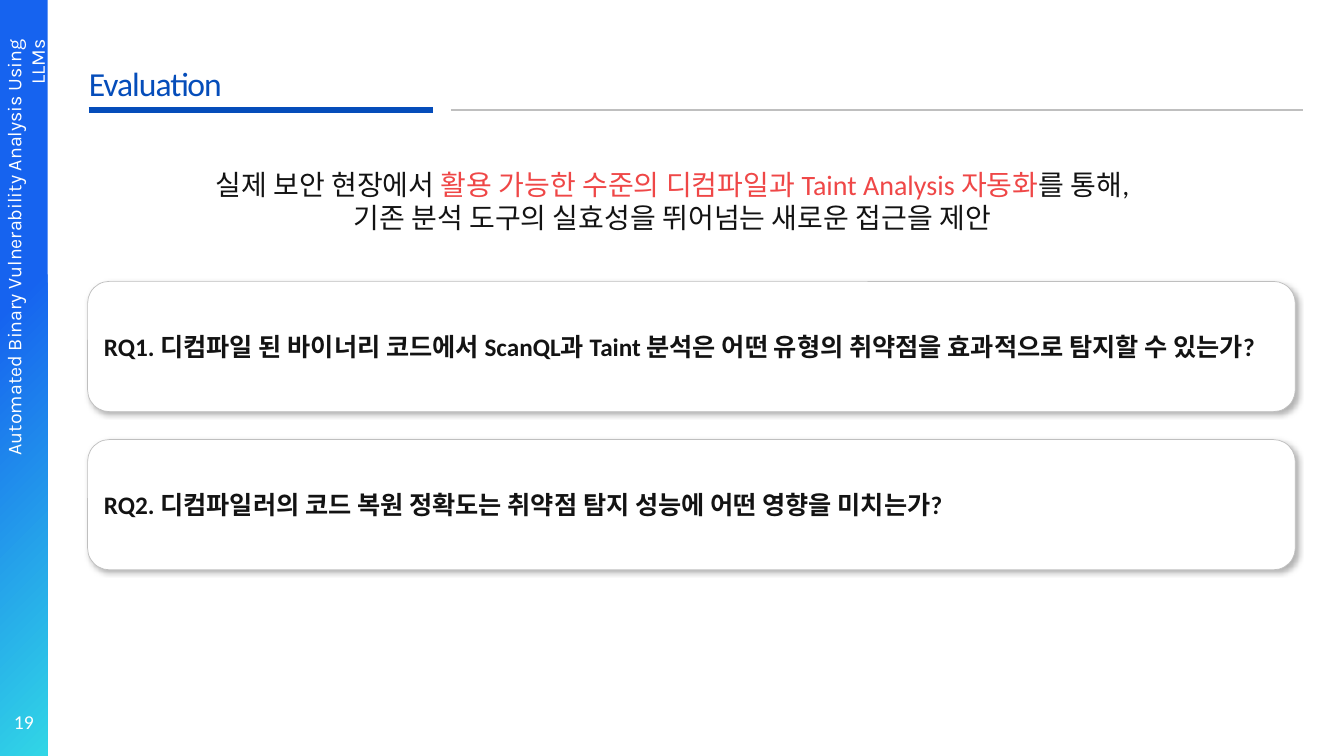
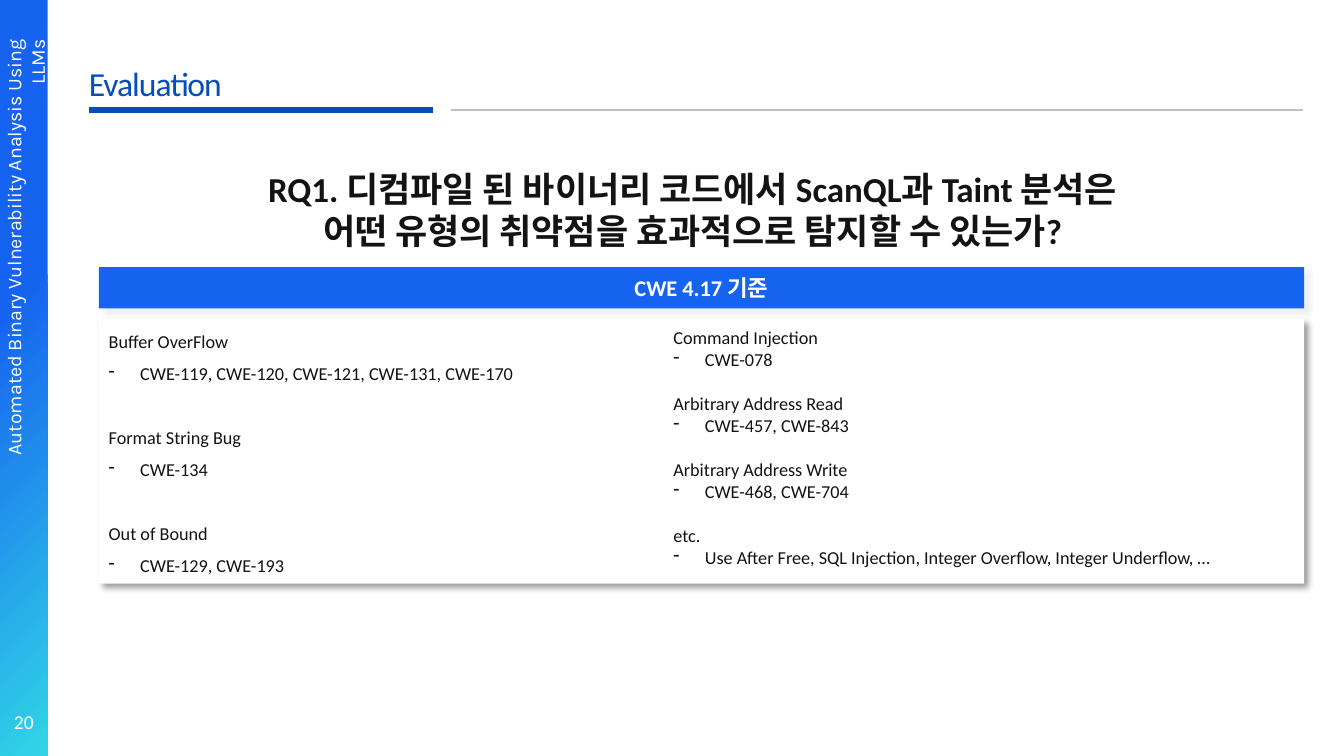
from lxml.etree import SubElement
from pptx import Presentation
from pptx.dml.color import RGBColor
from pptx.enum.shapes import MSO_CONNECTOR, MSO_SHAPE
from pptx.enum.text import MSO_ANCHOR, PP_ALIGN
from pptx.oxml.ns import qn
from pptx.util import Pt

BLUE = RGBColor(0x16, 0x63, 0xEF)
CYAN = RGBColor(0x31, 0xD6, 0xE6)
NAVY = RGBColor(0x05, 0x4D, 0xBA)
GRAY = RGBColor(0xBF, 0xBF, 0xBF)
INK = RGBColor(0x13, 0x13, 0x13)
RED = RGBColor(0xEF, 0x47, 0x47)
WHITE = RGBColor(0xFF, 0xFF, 0xFF)
FONT = "Calibri"
LEFT, CENTER, RIGHT = PP_ALIGN.LEFT, PP_ALIGN.CENTER, PP_ALIGN.RIGHT
TOP, MIDDLE = MSO_ANCHOR.TOP, MSO_ANCHOR.MIDDLE


def card(slide, kind, place, fill, shade=None):
    """Add a filled shape; shade is shadow opacity, blur and distance."""
    shape = slide.shapes.add_shape(kind, *map(Pt, place))
    shape.fill.solid()
    shape.fill.fore_color.rgb = fill
    shape.line.fill.background()
    shape.shadow.inherit = False
    if shade:
        alpha, blur, dist = shade
        effects = shape._element.spPr.find(qn("a:effectLst"))
        outer = SubElement(effects, qn("a:outerShdw"), blurRad=str(Pt(blur)),
                           dist=str(Pt(dist)), dir="2700000", algn="tl", rotWithShape="0")
        color = SubElement(outer, qn("a:srgbClr"), val="000000")
        SubElement(color, qn("a:alpha"), val=str(alpha * 1000))
    return shape


def write(shape, lines, size, color, align=LEFT, anchor=TOP, bold=False, inset=True, font=FONT):
    """Fill a shape with lines; a line starting with "- " becomes a bullet."""
    frame = shape.text_frame
    frame.word_wrap = True
    frame.vertical_anchor = anchor
    if not inset:
        frame.margin_left = frame.margin_right = frame.margin_top = frame.margin_bottom = 0
    for row, line in enumerate(lines):
        para = frame.add_paragraph() if row else frame.paragraphs[0]
        para.text = line.removeprefix("- ")
        para.alignment = align
        if line.startswith("- "):
            props = para._p.get_or_add_pPr()
            props.set("marL", str(Pt(22.5)))
            props.set("indent", str(-Pt(22.5)))
            SubElement(props, qn("a:buChar"), char="-")
        para.font.size = Pt(size)
        para.font.name = font
        para.font.bold = bold
        para.font.color.rgb = color
    return frame.paragraphs


deck = Presentation()
deck.slide_width, deck.slide_height = Pt(960), Pt(540)
blank = deck.slide_layouts[6]

# Shared frame: side band, rules, page number and title
for page in (19, 20):
    slide = deck.slides.add_slide(blank)
    band = card(slide, MSO_SHAPE.RECTANGLE, (0, 0, 34, 540), BLUE)
    band.fill.gradient()
    band.fill.gradient_angle = 315
    for stop, (spot, color) in zip(band.fill.gradient_stops, ((0.39, BLUE), (1, CYAN))):
        stop.position = spot
        stop.color.rgb = color

    for start, end, color, width in ((63.4, 309, NAVY, 4), (322, 931, GRAY, 1)):
        rule = slide.shapes.add_connector(
            MSO_CONNECTOR.STRAIGHT, Pt(start), Pt(78.5), Pt(end), Pt(78.5))
        rule.line.color.rgb = color
        rule.line.width = Pt(width)
        SubElement(rule._element.spPr, qn("a:effectLst"))

    side = slide.shapes.add_textbox(Pt(-134.6), Pt(172), Pt(305.3), Pt(17.3))
    side.rotation = 270
    write(side, ["Automated Binary Vulnerability Analysis Using LLMs"], 14, WHITE,
          RIGHT, MIDDLE, inset=False, font="Karla")

    number = slide.shapes.add_textbox(0, Pt(503.3), Pt(34), Pt(24.5))
    write(number, [str(page)], 14, WHITE, CENTER)

    title = slide.shapes.add_textbox(Pt(63.4), Pt(49.7), Pt(245.5), Pt(22.3))
    para = write(title, ["Evaluation"], 24, NAVY, anchor=MIDDLE, inset=False)[0]
    para.line_spacing = 0.9
    para.runs[0]._r.get_or_add_rPr().set("spc", "-70")

first, second = deck.slides

# Research questions
intro = first.shapes.add_textbox(Pt(34.6), Pt(116), Pt(891.4), Pt(55.4))
lead = write(intro, ["실제 보안 현장에서 ", "기존 분석 도구의 실효성을 뛰어넘는 새로운 접근을 제안"],
             20, INK, CENTER)[0]
key = lead.add_run()
key.text = "활용 가능한 수준의 디컴파일과 Taint Analysis 자동화"
key.font.color.rgb = RED
lead.add_run().text = "를 통해,"

asks = (
    "RQ1. 디컴파일 된 바이너리 코드에서 ScanQL과 Taint 분석은 어떤 유형의 취약점을 효과적으로 탐지할 수 있는가?",
    "RQ2. 디컴파일러의 코드 복원 정확도는 취약점 탐지 성능에 어떤 영향을 미치는가?",
)
for row, ask in enumerate(asks):
    box = card(first, MSO_SHAPE.ROUNDED_RECTANGLE, (62.6, 201 + 113 * row, 862.6, 93),
               WHITE, (30, 4, 2))
    box.line.color.rgb = GRAY
    box.line.width = Pt(0.5)
    write(box, [ask], 18, INK, anchor=MIDDLE, bold=True)

# Weakness types
head = second.shapes.add_textbox(Pt(49), Pt(116), Pt(891.4), Pt(67.7))
write(head, ["RQ1. 디컴파일 된 바이너리 코드에서 ScanQL과 Taint 분석은\v"
             "어떤 유형의 취약점을 효과적으로 탐지할 수 있는가?"], 25, INK, CENTER, bold=True)

bar = card(second, MSO_SHAPE.RECTANGLE, (70.6, 190.8, 861, 29.5), BLUE, (5, 3, 5))
write(bar, ["CWE 4.17 기준"], 16, WHITE, CENTER, MIDDLE, bold=True)

panel = card(second, MSO_SHAPE.RECTANGLE, (70.6, 227.5, 861, 189.4), WHITE, (40, 5, 3))
panel.text_frame.margin_top = Pt(5.6)
common = write(panel, [
    "Buffer OverFlow", "- CWE-119, CWE-120, CWE-121, CWE-131, CWE-170",
    "Format String Bug", "- CWE-134",
    "Out of Bound", "- CWE-129, CWE-193",
], 13, INK)

other = second.shapes.add_textbox(Pt(481), Pt(232.6), Pt(440), Pt(173.5))
more = write(other, [
    "Command Injection", "- CWE-078",
    "Arbitrary Address Read", "- CWE-457, CWE-843",
    "Arbitrary Address Write", "- CWE-468, CWE-704",
    "etc.", "- Use After Free, SQL Injection, Integer Overflow, Integer Underflow, …",
], 13, INK, anchor=MIDDLE, inset=False)

for paras, pitch, pad, gap in ((common, 1.2, 2, 23), (more, 1, 0, 15.9)):
    for row, para in enumerate(paras):
        para.line_spacing = pitch
        para.space_after = Pt(pad)
        if row:
            para.space_before = Pt(pad if row % 2 else pad + gap)

deck.save("out.pptx")
